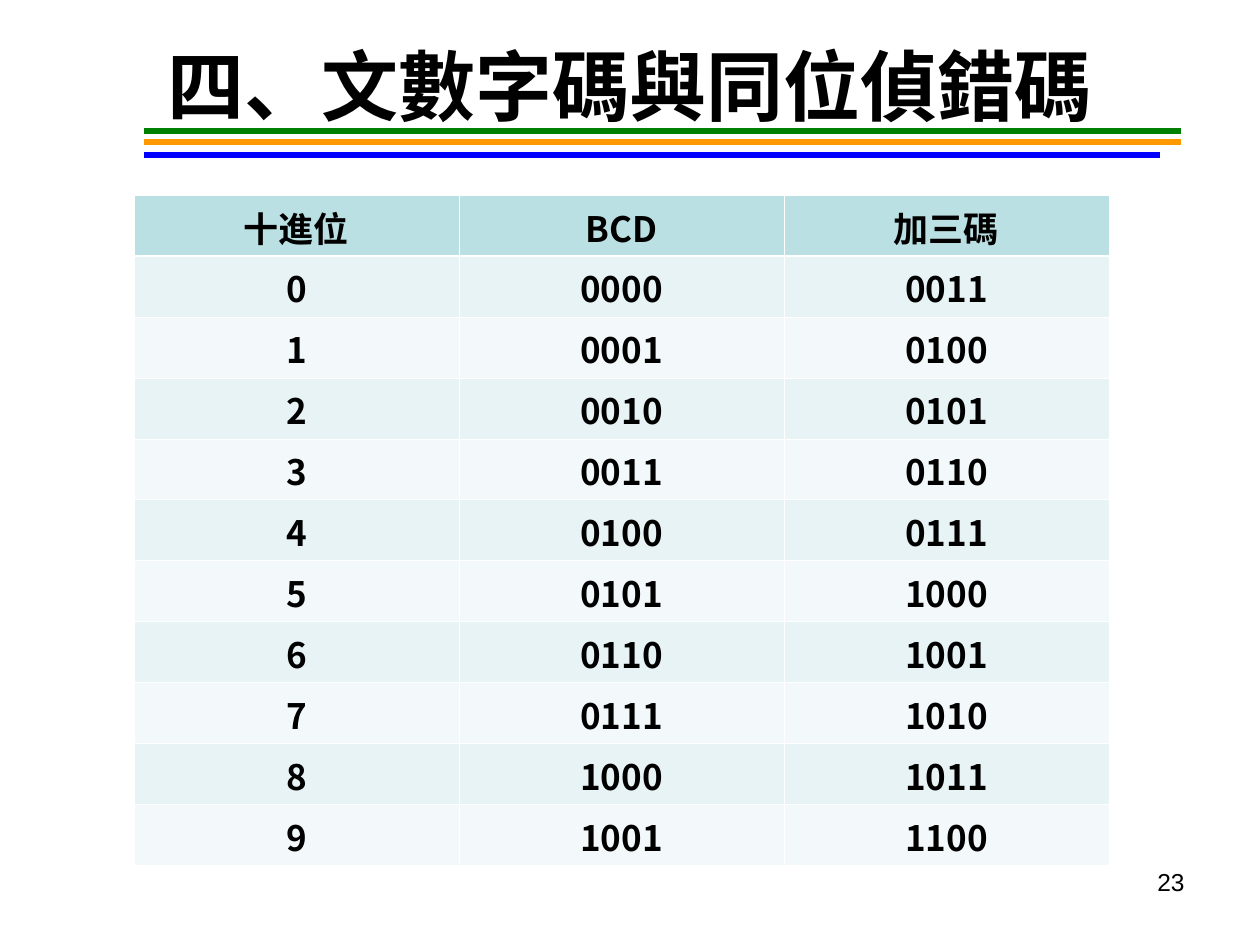
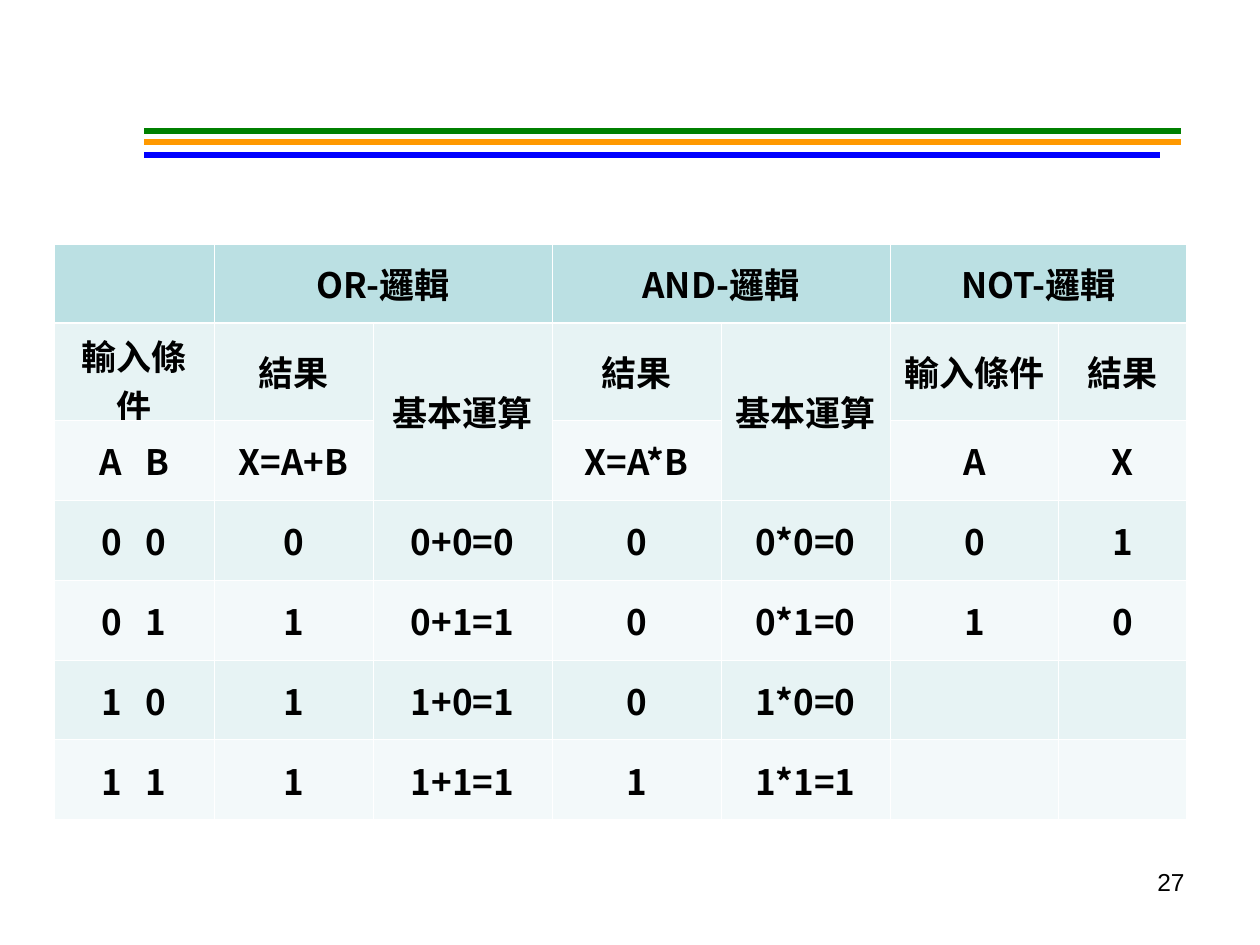
from dataclasses import dataclass
from itertools import product

from lxml import etree
from pptx import Presentation
from pptx.dml.color import RGBColor
from pptx.enum.shapes import MSO_CONNECTOR
from pptx.enum.text import MSO_ANCHOR, MSO_AUTO_SIZE, PP_ALIGN
from pptx.oxml.ns import qn
from pptx.util import Emu, Pt

STRAIGHT = MSO_CONNECTOR.STRAIGHT
MIDDLE, TOP = MSO_ANCHOR.MIDDLE, MSO_ANCHOR.TOP
FIXED = MSO_AUTO_SIZE.NONE
CENTER, RIGHT = PP_ALIGN.CENTER, PP_ALIGN.RIGHT
TITLE_ONLY, BLANK = 5, 6


@dataclass(frozen=True)
class Theme:
    """Colours, fonts and sizes of the deck."""
    ink: str = "000000"
    rule: str = "FFFFFF"
    head: str = "BBE0E3"
    odd: str = "E7F3F4"
    even: str = "F3F9FA"
    green: str = "008000"
    amber: str = "FF9900"
    blue: str = "0000FF"
    main: str = "Noto Sans CJK SC"
    plain: str = "Arial"
    title: int = 44
    body: int = 20
    note: int = 14
    band: int = 3
    thin: float = 0.45
    thick: float = 1.47
    gap: int = 900


def px(count):
    """Turn px into EMU."""
    return Emu(round(count * 914400 / 126))


def write(frame, text, *, size, font, color, bold=False, align=CENTER,
          anchor=MIDDLE, gap=0):
    """Put one formatted paragraph in a frame, widening its spaces by gap."""
    frame.word_wrap = True
    frame.vertical_anchor = anchor
    para = frame.paragraphs[0]
    para.alignment = align
    left, space, right = text.partition(" ")
    for part in filter(None, (left, space, right)):
        run = para.add_run()
        run.text = part
        run.font.size, run.font.bold = Pt(size), bold
        run.font.name = font
        run.font.color.rgb = RGBColor.from_string(color)
        props = run.font._element
        etree.SubElement(props, qn("a:ea")).set("typeface", font)
        if gap and part == " ":
            props.set("spc", str(gap))


def edge(cell, sides, color):
    """Draw the borders of a cell from a map of side to width."""
    props = cell._tc.get_or_add_tcPr()
    for spot, (side, width) in enumerate(sides.items()):
        line = etree.Element(qn(f"a:ln{side}"), w=str(Pt(width)))
        fill = etree.SubElement(line, qn("a:solidFill"))
        etree.SubElement(fill, qn("a:srgbClr")).set("val", color)
        props.insert(spot, line)


class Deck:
    """Holds the theme and the current slide."""

    def __init__(self, theme):
        """Start an empty deck."""
        self.theme = theme
        self.file = Presentation()
        self.file.slide_width, self.file.slide_height = px(1260), px(945)
        self.slide = None

    def page(self, number, title=None):
        """Add a slide with its bands, number and title if any."""
        look = self.theme
        layout = self.file.slide_layouts[TITLE_ONLY if title else BLANK]
        self.slide = self.file.slides.add_slide(layout)
        self.band(1181, 142, look.amber)
        self.band(1181, 131, look.green)
        self.band(1160, 155, look.blue)
        if title:
            self.title(title)
        self.number(number)

    def band(self, end, top, color):
        """Draw one coloured line below the title."""
        line = self.slide.shapes.add_connector(
            STRAIGHT, px(end), px(top), px(144), px(top))
        line.line.color.rgb = RGBColor.from_string(color)
        line.line.width = Pt(self.theme.band)
        etree.SubElement(line._element.spPr, qn("a:effectLst"))

    def title(self, text):
        """Place and fill the title."""
        look, shape = self.theme, self.slide.shapes.title
        shape.left, shape.top = px(63), px(6)
        shape.width, shape.height = px(1134), px(158)
        shape.text_frame.auto_size = FIXED
        write(shape.text_frame, text, size=look.title, font=look.main,
              color=look.ink, bold=True)

    def number(self, value):
        """Write the page number at the lower right."""
        look = self.theme
        box = self.slide.shapes.add_textbox(px(903), px(861), px(294), px(66))
        write(box.text_frame, str(value), size=look.note, font=look.plain,
              color=look.ink, align=RIGHT, anchor=TOP)

    def table(self, left, top, widths, heights, rows, spans=()):
        """Add a banded table, with spans as corner pairs to merge."""
        look = self.theme
        frame = self.slide.shapes.add_table(
            len(rows), len(widths), px(left), px(top),
            px(sum(widths)), px(sum(heights)))
        grid = frame.table
        grid.first_row = grid.horz_banding = False
        for col, width in zip(grid.columns, widths):
            col.width = px(width)
        for row, height in zip(grid.rows, heights):
            row.height = px(height)
        for first, last in spans:
            grid.cell(*first).merge(grid.cell(*last))
        for y, row in enumerate(rows):
            color = (look.odd if y % 2 else look.even) if y else look.head
            sides = {"L": look.thin, "R": look.thin,
                     "T": look.thick if y == 1 else look.thin,
                     "B": look.thin if y else look.thick}
            for x, text in enumerate(row):
                cell = grid.cell(y, x)
                cell.fill.solid()
                cell.fill.fore_color.rgb = RGBColor.from_string(color)
                edge(cell, sides, look.rule)
                cell.vertical_anchor = MIDDLE
                if text:
                    self.entry(cell, text)

    def entry(self, cell, text):
        """Write the text of one cell."""
        look = self.theme
        write(cell.text_frame, text, size=look.body, font=look.main,
              color=look.ink, bold=True, gap=look.gap)


def codes(deck):
    """Build the slide of decimal, BCD and excess-three codes."""
    deck.page(23, "四、文數字碼與同位偵錯碼")
    rows = [["十進位", "BCD", "加三碼"]]
    rows += [[str(n), f"{n:04b}", f"{n + 3:04b}"] for n in range(10)]
    deck.table(134, 195, [325] * 3, [61] * len(rows), rows)


def logic(deck):
    """Build the slide of OR, AND and NOT truth tables."""
    deck.page(27)
    rows = [
        ["", "OR-邏輯", "", "AND-邏輯", "", "NOT-邏輯", ""],
        ["輸入條件", "結果", "基本運算", "結果", "基本運算", "輸入條件", "結果"],
        ["A B", "X=A+B", "", "X=A*B", "", "A", "X"],
    ]
    for a, b in product((0, 1), repeat=2):
        flip = ["", ""] if a else [str(b), str(1 - b)]
        rows.append([f"{a} {b}", str(a | b), f"{a}+{b}={a | b}",
                     str(a & b), f"{a}*{b}={a & b}", *flip])
    spans = [((0, x), (0, x + 1)) for x in (1, 3, 5)]
    spans += [((1, x), (2, x)) for x in (2, 4)]
    deck.table(54, 244, [160, 159, 179, 169, 169, 169, 128],
               [79, 97] + [80] * 5, rows, spans)


def main():
    """Build and save the deck."""
    deck = Deck(Theme())
    codes(deck)
    logic(deck)
    deck.file.save("out.pptx")


if __name__ == "__main__":
    main()
